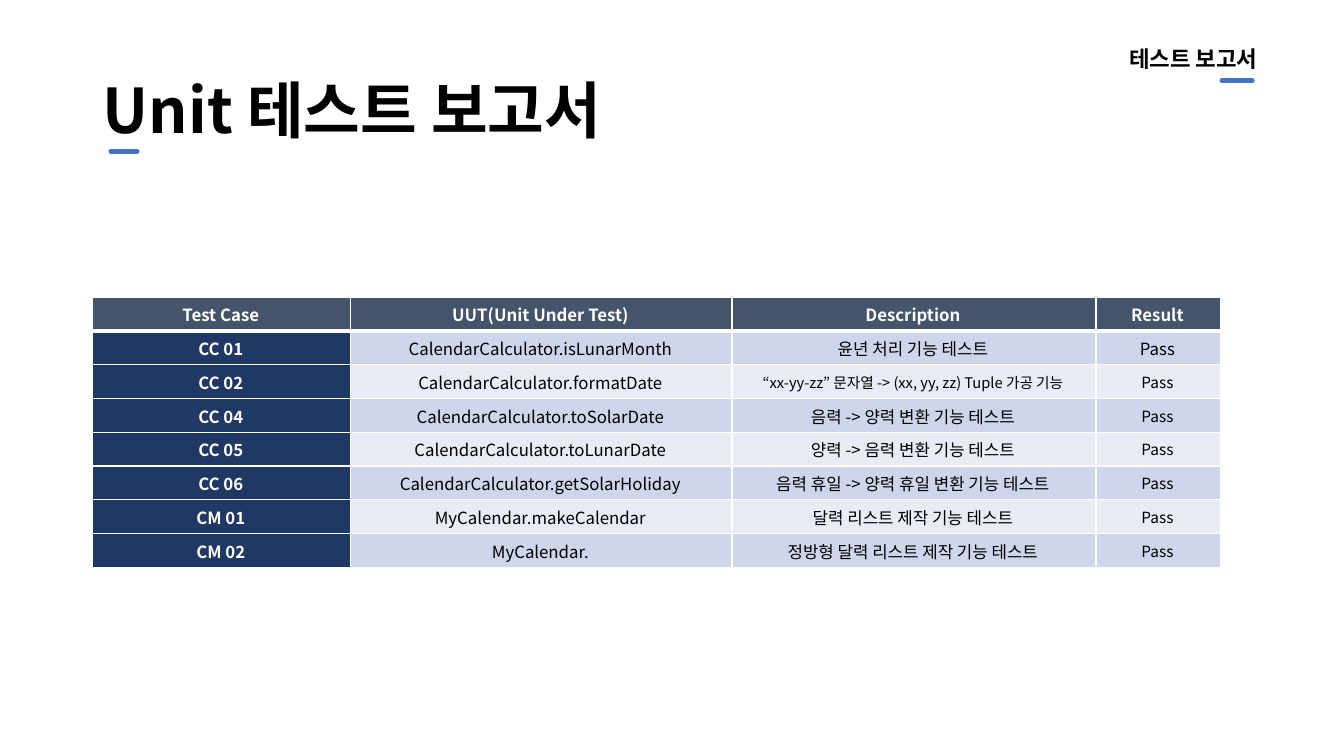
import pptx
import pptx.util
import pptx.dml.color
import pptx.enum.dml
import pptx.enum.shapes
import pptx.enum.text
import pptx.oxml
import pptx.oxml.ns

Inches = pptx.util.Inches
Pt = pptx.util.Pt
Align = pptx.enum.text.PP_ALIGN
Anchor = pptx.enum.text.MSO_ANCHOR

FONT = "Noto Sans CJK KR"
COLORS = {
    "text": "000000",
    "white": "FFFFFF",
    "accent": "4472C4",
    "header": "44546A",
    "case": "203864",
    "odd": "CFD5EA",
    "even": "E9EBF5",
}
HEADINGS = ["Test Case", "UUT(Unit Under Test)", "Description", "Result"]
TESTS = [
    ("CC 01", "CalendarCalculator.isLunarMonth", "윤년 처리 기능 테스트"),
    ("CC 02", "CalendarCalculator.formatDate", "“xx-yy-zz” 문자열 -> (xx, yy, zz) Tuple 가공 기능"),
    ("CC 04", "CalendarCalculator.toSolarDate", "음력 -> 양력 변환 기능 테스트"),
    ("CC 05", "CalendarCalculator.toLunarDate", "양력 -> 음력 변환 기능 테스트"),
    ("CC 06", "CalendarCalculator.getSolarHoliday", "음력 휴일 -> 양력 휴일 변환 기능 테스트"),
    ("CM 01", "MyCalendar.makeCalendar", "달력 리스트 제작 기능 테스트"),
    ("CM 02", "MyCalendar.", "정방형 달력 리스트 제작 기능 테스트"),
]
COLUMN_WIDTHS = [2.56, 3.78, 3.61, 1.24]
SMALL_SIZES = {(2, 2): 10.5, **{(row, 3): 11 for row in range(2, len(TESTS) + 1)}}


def rgb(name):
    """Return the named colour."""
    return pptx.dml.color.RGBColor.from_string(COLORS[name])


def sub(parent, tag, **attributes):
    """Append an XML child with attributes and return it."""
    element = parent.makeelement(pptx.oxml.ns.qn(tag), attributes)
    parent.append(element)
    return element


class ReportSlide:
    """Holds the style and the current slide."""

    def __init__(self, deck):
        """Start a slide on the title-only layout."""
        self.slide = deck.slides.add_slide(deck.slide_layouts[5])

    def add_text(self, frame, text, size, color="text", bold=False, align=Align.LEFT):
        """Put one run into the first paragraph of a frame."""
        paragraph = frame.paragraphs[0]
        paragraph.alignment = align
        run = paragraph.add_run()
        run.text = text
        run.font.size = Pt(size)
        run.font.bold = bold
        run.font.name = FONT
        run.font.color.rgb = rgb(color)
        sub(run.font._element, "a:ea", typeface=FONT)
        return paragraph

    def title(self, text, left, top, width, height):
        """Move and fill the title placeholder."""
        heading = self.slide.shapes.title
        heading.left, heading.top = Inches(left), Inches(top)
        heading.width, heading.height = Inches(width), Inches(height)
        frame = heading.text_frame
        frame.auto_size = pptx.enum.text.MSO_AUTO_SIZE.NONE
        frame.vertical_anchor = Anchor.MIDDLE
        self.add_text(frame, text, 44, bold=True).line_spacing = 0.9

    def label(self, text, left, top, width, height):
        """Add the right-aligned section label."""
        box = self.slide.shapes.add_textbox(
            Inches(left), Inches(top), Inches(width), Inches(height))
        box.text_frame.word_wrap = True
        self.add_text(box.text_frame, text, 16, bold=True, align=Align.RIGHT)

    def underline(self, left, right, y):
        """Add a short accent line with round ends."""
        stroke = self.slide.shapes.add_connector(
            pptx.enum.shapes.MSO_CONNECTOR.STRAIGHT,
            Inches(left), Inches(y), Inches(right), Inches(y))
        stroke.line.color.rgb = rgb("accent")
        stroke.line.width = Pt(3.5)
        properties = stroke._element.spPr
        properties.find(pptx.oxml.ns.qn("a:ln")).set("cap", "rnd")
        sub(properties, "a:effectLst")

    def borders(self, cell, top, bottom):
        """Give a cell white borders, with top and bottom widths in points."""
        properties = cell._tc.get_or_add_tcPr()
        for side, width in (("L", 1), ("R", 1), ("T", top), ("B", bottom)):
            edge = sub(properties, "a:ln" + side, w=str(int(Pt(width))))
            sub(sub(edge, "a:solidFill"), "a:srgbClr", val=COLORS["white"])

    def table(self, rows, left, top, row_height):
        """Add the test table with its header row and case column."""
        grid = self.slide.shapes.add_table(
            len(rows), len(COLUMN_WIDTHS), Inches(left), Inches(top),
            Inches(sum(COLUMN_WIDTHS)), Inches(row_height * len(rows))).table
        for column, width in zip(grid.columns, COLUMN_WIDTHS):
            column.width = Inches(width)
        for r, texts in enumerate(rows):
            for c, text in enumerate(texts):
                cell = grid.cell(r, c)
                strong = r == 0 or c == 0
                band = "odd" if r % 2 else "even"
                fill = "header" if r == 0 else "case" if c == 0 else band
                self.borders(cell, 3 if r == 1 else 1, 3 if r == 0 else 1)
                cell.fill.solid()
                cell.fill.fore_color.rgb = rgb(fill)
                cell.vertical_anchor = Anchor.MIDDLE
                cell.margin_left, cell.margin_right = Inches(0.08), Inches(0.1)
                cell.margin_top = cell.margin_bottom = Inches(0.05)
                self.add_text(cell.text_frame, text, SMALL_SIZES.get((r, c), 12),
                              "white" if strong else "text", strong, Align.CENTER)


def main():
    """Build and save the test report slide."""
    deck = pptx.Presentation()
    deck.slide_width, deck.slide_height = Inches(13.33), Inches(7.5)
    report = ReportSlide(deck)
    report.title("Unit 테스트 보고서", 0.92, 0.4, 11.5, 1.45)
    report.underline(12.12, 12.42, 0.8)
    report.underline(1.1, 1.36, 1.5)
    report.label("테스트 보고서", 10.72, 0.4, 1.85, 0.37)
    report.table([HEADINGS] + [test + ("Pass",) for test in TESTS], 0.92, 2.95, 2.68 / 8)
    deck.save("out.pptx")


main()
